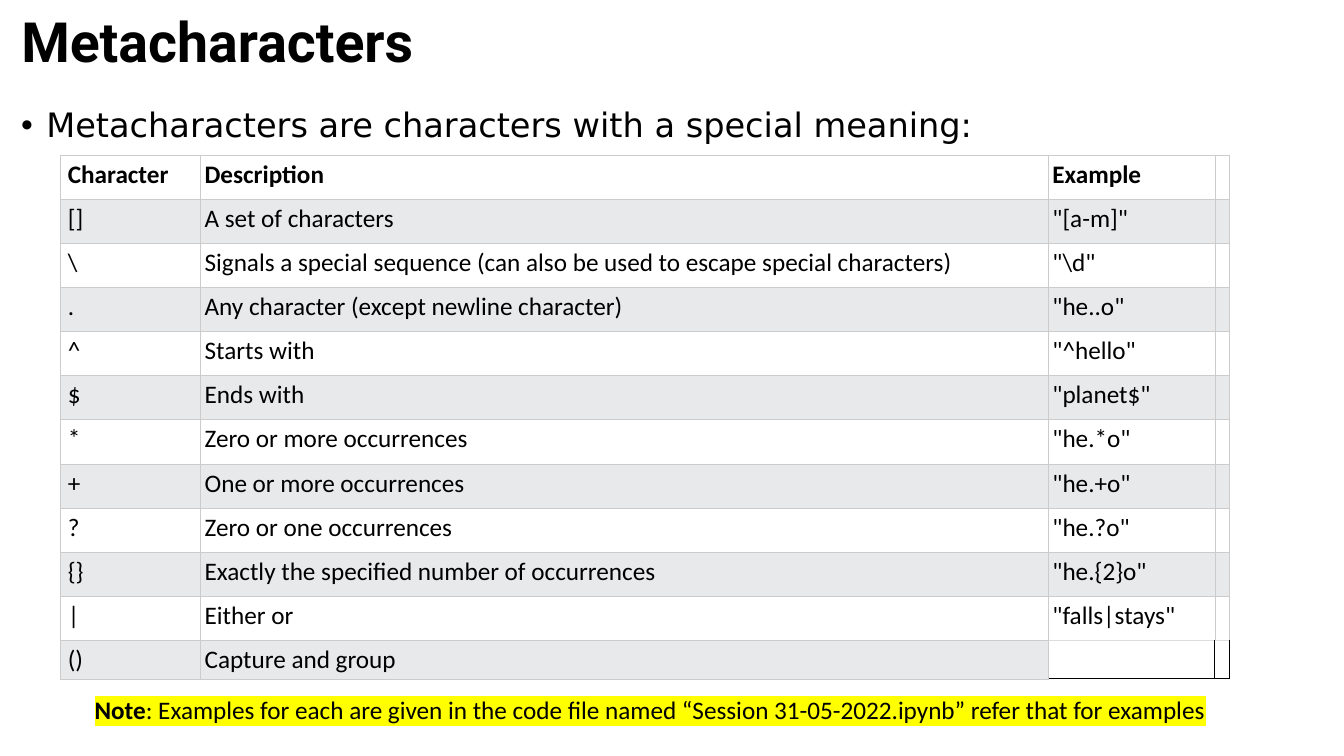
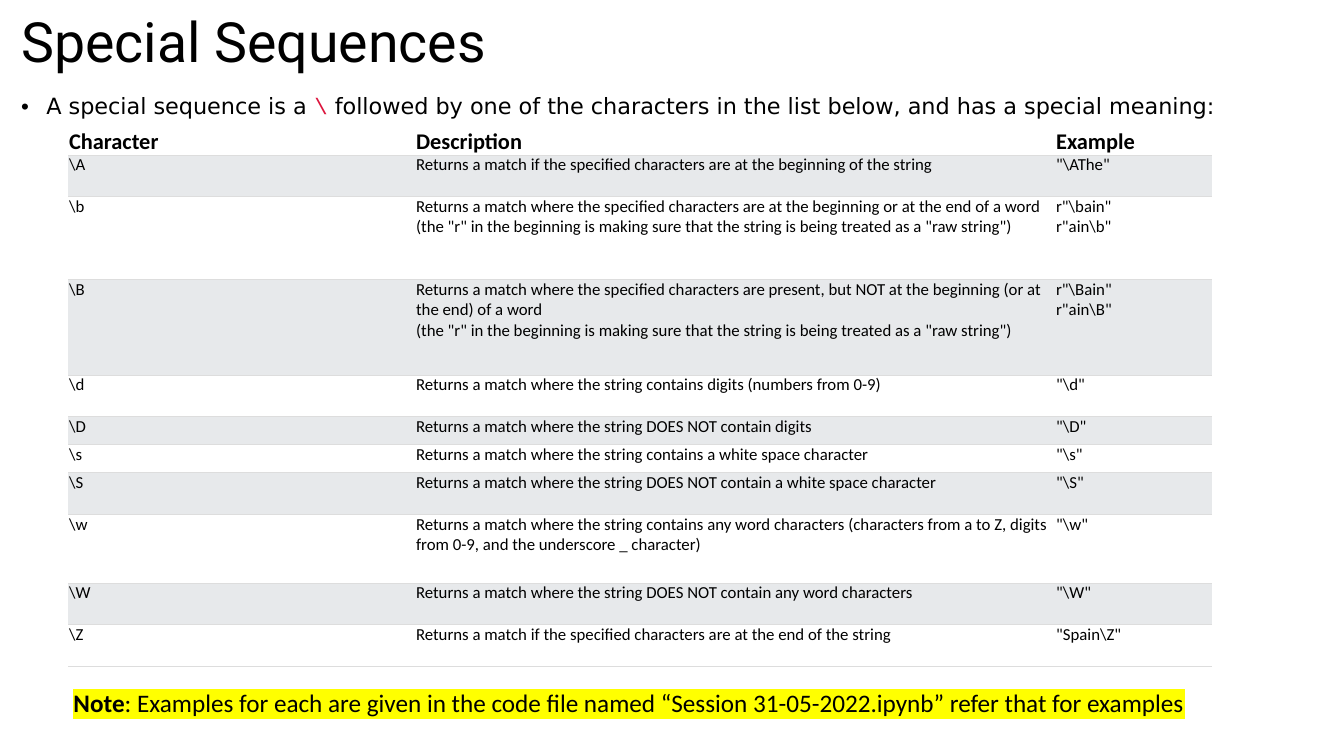
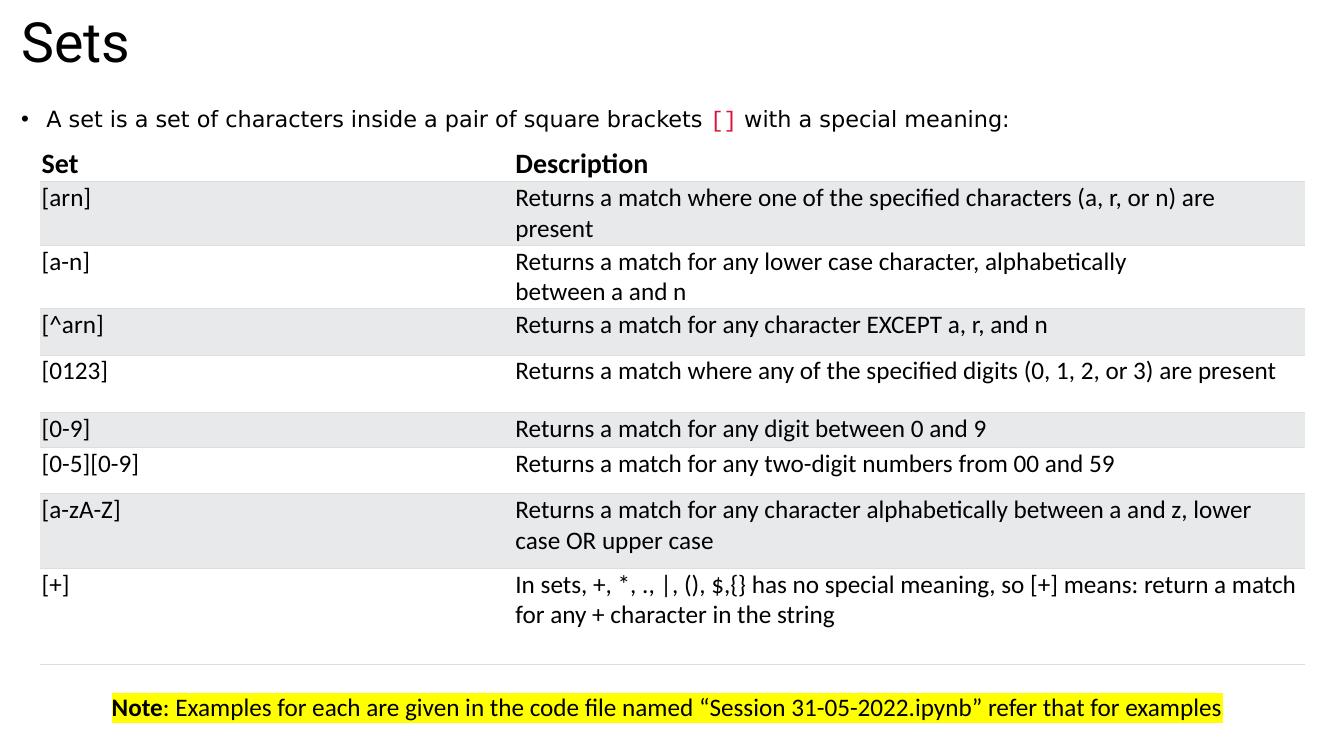
"""Build three slides on regular expressions, each with a lead line, a table and a note."""
from dataclasses import dataclass

from lxml import etree
from pptx import Presentation
from pptx.dml.color import RGBColor
from pptx.enum.text import MSO_ANCHOR, MSO_AUTO_SIZE, PP_ALIGN
from pptx.oxml.ns import qn
from pptx.util import Pt

MID, TOP = MSO_ANCHOR.MIDDLE, MSO_ANCHOR.TOP
FIXED = MSO_AUTO_SIZE.NONE
LEFT = PP_ALIGN.LEFT


@dataclass(frozen=True)
class Theme:
    ink: str = "000000"
    code: str = "DC143C"
    mark: str = "FFFF00"
    plain: str = "FFFFFF"
    band: str = "E7E9EB"
    grid: str = "CCCCCC"
    rule: str = "DDDDDD"
    head: str = "Roboto"
    lead: str = "DejaVu Sans"
    mono: str = "Courier New"
    body: str = "Calibri"
    title: float = 39.6
    note: float = 18
    line: float = 0.6


T = Theme()


def style(run, face, size, bold=False, hue=T.ink):
    """Set the font of one run."""
    font = run.font
    font.size, font.bold = Pt(size), bold
    font.color.rgb = RGBColor.from_string(hue)
    font.name = face


def edge(cell, hues, width=T.line):
    """Set the left, right, top and bottom lines of a cell; None hides one."""
    props = cell._tc.get_or_add_tcPr()
    for spot, (side, hue) in enumerate(zip("LRTB", hues)):
        tag = qn("a:ln" + side)
        for old in props.findall(tag):
            props.remove(old)
        line = etree.Element(tag, w=str(Pt(width)))
        props.insert(spot, line)
        if hue:
            fill = etree.SubElement(line, qn("a:solidFill"))
            etree.SubElement(fill, qn("a:srgbClr"), val=hue)
        else:
            etree.SubElement(line, qn("a:noFill"))


RAW = '(the "r" in the beginning is making sure that the string is being treated as a "raw string")'
NOTE = ": Examples for each are given in the code file named “Session 31-05-2022.ipynb” refer that for examples"

PAGES = [
    dict(
        title="Metacharacters", bold=True,
        lead=["Metacharacters are characters with a special meaning:"],
        size=24, top=74, note=(60.5, 492.5),
        at=(43.2, 110.9), cols=[100, 605.6, 119, 10.2], tall=[31.5] * 11 + [27],
        pad=(5.3, 3), sizes=(18, 18), boxed=True,
        rows=[
            ("Character", "Description", "Example"),
            ("[]", "A set of characters", '"[a-m]"'),
            ("\\", "Signals a special sequence (can also be used to escape special characters)", '"\\d"'),
            (".", "Any character (except newline character)", '"he..o"'),
            ("^", "Starts with", '"^hello"'),
            ("$", "Ends with", '"planet$"'),
            ("*", "Zero or more occurrences", '"he.*o"'),
            ("+", "One or more occurrences", '"he.+o"'),
            ("?", "Zero or one occurrences", '"he.?o"'),
            ("{}", "Exactly the specified number of occurrences", '"he.{2}o"'),
            ("|", "Either or", '"falls|stays"'),
            ("()", "Capture and group"),
        ],
    ),
    dict(
        title="Special Sequences", bold=False,
        lead=["A special sequence is a\u00a0", "\\",
              "\u00a0followed by one of the characters in the list below, and has a special meaning:"],
        size=16, top=64.8, note=(45.4, 487.4),
        at=(48.8, 91.4), cols=[248.4, 457.2, 108.7, 2.9],
        tall=[19, 29.8, 59, 68.4, 29.8, 20, 20, 29.8, 49, 29.8, 29.8],
        pad=(0.6, 0), sizes=(16, 12), boxed=False,
        rows=[
            ("Character", "Description", "Example"),
            ("\\A", "Returns a match if the specified characters are at the beginning of the string", '"\\AThe"'),
            ("\\b", "Returns a match where the specified characters are at the beginning "
             "or at the end of a word\v" + RAW, 'r"\\bain"\vr"ain\\b"'),
            ("\\B", "Returns a match where the specified characters are present, but NOT "
             "at the beginning (or at the end) of a word\v" + RAW, 'r"\\Bain"\vr"ain\\B"'),
            ("\\d", "Returns a match where the string contains digits (numbers from 0-9)", '"\\d"'),
            ("\\D", "Returns a match where the string DOES NOT contain digits", '"\\D"'),
            ("\\s", "Returns a match where the string contains a white space character", '"\\s"'),
            ("\\S", "Returns a match where the string DOES NOT contain a white space character", '"\\S"'),
            ("\\w", "Returns a match where the string contains any word characters "
             "(characters from a to Z, digits from 0-9, and the underscore _ character)", '"\\w"'),
            ("\\W", "Returns a match where the string DOES NOT contain any word characters", '"\\W"'),
            ("\\Z", "Returns a match if the specified characters are at the end of the string", '"Spain\\Z"'),
        ],
    ),
    dict(
        title="Sets", bold=False,
        lead=["A set is a set of characters inside a pair of square brackets\u00a0", "[]",
              "\u00a0with a special meaning:"],
        size=16, top=74, note=(72.7, 490.3),
        at=(28.4, 104.4), cols=[339.1, 560.2, 3.6],
        tall=[9.4, 45.4, 45.4, 33, 41, 25, 33, 53.3, 68.4],
        pad=(1.4, 0.7), sizes=(20, 18), boxed=False,
        rows=[
            ("Set", "Description"),
            ("[arn]", "Returns a match where one of the specified characters (a,\u00a0r, or\u00a0n) are present"),
            ("[a-n]", "Returns a match for any lower case character, alphabetically between\u00a0a\u00a0and\u00a0n"),
            ("[^arn]", "Returns a match for any character EXCEPT\u00a0a,\u00a0r, and\u00a0n"),
            ("[0123]", "Returns a match where any of the specified digits (0,\u00a01,\u00a02, or\u00a03) are present"),
            ("[0-9]", "Returns a match for any digit between\u00a00\u00a0and\u00a09"),
            ("[0-5][0-9]", "Returns a match for any two-digit numbers from\u00a000\u00a0and\u00a059"),
            ("[a-zA-Z]", "Returns a match for any character alphabetically between\u00a0a\u00a0and\u00a0z, "
             "lower case OR upper case"),
            ("[+]", "In sets,\u00a0+,\u00a0*,\u00a0.,\u00a0|,\u00a0(),\u00a0$,{}\u00a0has no special meaning, "
             "so\u00a0[+]\u00a0means: return a match for any\u00a0+\u00a0character in the string"),
        ],
    ),
]

deck = Presentation()
deck.slide_width, deck.slide_height = Pt(960), Pt(540)

for page in PAGES:
    slide = deck.slides.add_slide(deck.slide_layouts[5])
    title = slide.shapes.title
    title.left, title.top, title.width, title.height = Pt(8), Pt(10.8), Pt(934.5), Pt(42.5)
    frame = title.text_frame
    frame.text = page["title"]
    frame.vertical_anchor, frame.auto_size = MID, FIXED
    par = frame.paragraphs[0]
    par.alignment, par.line_spacing = LEFT, 0.9
    style(par.runs[0], T.head, T.title, page["bold"])

    lead = slide.shapes.add_textbox(Pt(8), Pt(page["top"]), Pt(934.5), Pt(36))
    lead.text_frame.word_wrap = True
    par = lead.text_frame.paragraphs[0]
    par.line_spacing, par.space_before = 0.9, Pt(10)
    props = par._p.get_or_add_pPr()
    props.set("marL", str(Pt(18)))
    props.set("indent", str(Pt(-18)))
    etree.SubElement(props, qn("a:buFont"), typeface="Arial")
    etree.SubElement(props, qn("a:buChar"), char="•")
    for spot, text in enumerate(page["lead"]):
        run = par.add_run()
        run.text = text
        face, hue = (T.mono, T.code) if spot == 1 else (T.lead, T.ink)
        style(run, face, page["size"], hue=hue)

    cols, tall, rows = page["cols"], page["tall"], page["rows"]
    left, top = page["at"]
    table = slide.shapes.add_table(
        len(rows), len(cols), Pt(left), Pt(top), Pt(sum(cols)), Pt(sum(tall))).table
    table.first_row = table.horz_banding = False
    for col, width in zip(table.columns, cols):
        col.width = Pt(width)
    first, rest = page["pad"]
    for r, row in enumerate(rows):
        table.rows[r].height = Pt(tall[r])
        size = page["sizes"][r > 0]
        texts = row + ("",) * (len(cols) - len(row))
        for c, text in enumerate(texts):
            cell = table.cell(r, c)
            cell.vertical_anchor = TOP
            cell.margin_left = Pt(rest if c else first)
            cell.margin_right = cell.margin_top = cell.margin_bottom = Pt(rest)
            cell.fill.solid()
            cell.fill.fore_color.rgb = RGBColor.from_string(T.band if r % 2 else T.plain)
            if page["boxed"]:
                edge(cell, [T.grid] * 4)
            else:
                edge(cell, [None, None, T.rule if r else None, T.rule])
            par = cell.text_frame.paragraphs[0]
            if text:
                par.text = text
                for run in par.runs:
                    style(run, T.body, size, r == 0)
            else:
                etree.SubElement(par._p, qn("a:endParaRPr"), sz=str(size * 100))
    if page["boxed"]:
        end = len(rows) - 1
        for c, side in ((2, T.grid), (3, T.ink)):
            cell = table.cell(end, c)
            cell.fill.background()
            edge(cell, [side, T.ink, T.rule, T.ink], 1)

    left, top = page["note"]
    note = slide.shapes.add_textbox(Pt(left), Pt(top), Pt(870), Pt(29))
    note.text_frame.word_wrap = True
    par = note.text_frame.paragraphs[0]
    for text, bold in (("Note", True), (NOTE, False)):
        run = par.add_run()
        run.text = text
        style(run, T.body, T.note, bold)
        mark = etree.Element(qn("a:highlight"))
        etree.SubElement(mark, qn("a:srgbClr"), val=T.mark)
        run._r.rPr.find(qn("a:solidFill")).addnext(mark)

deck.save("out.pptx")
